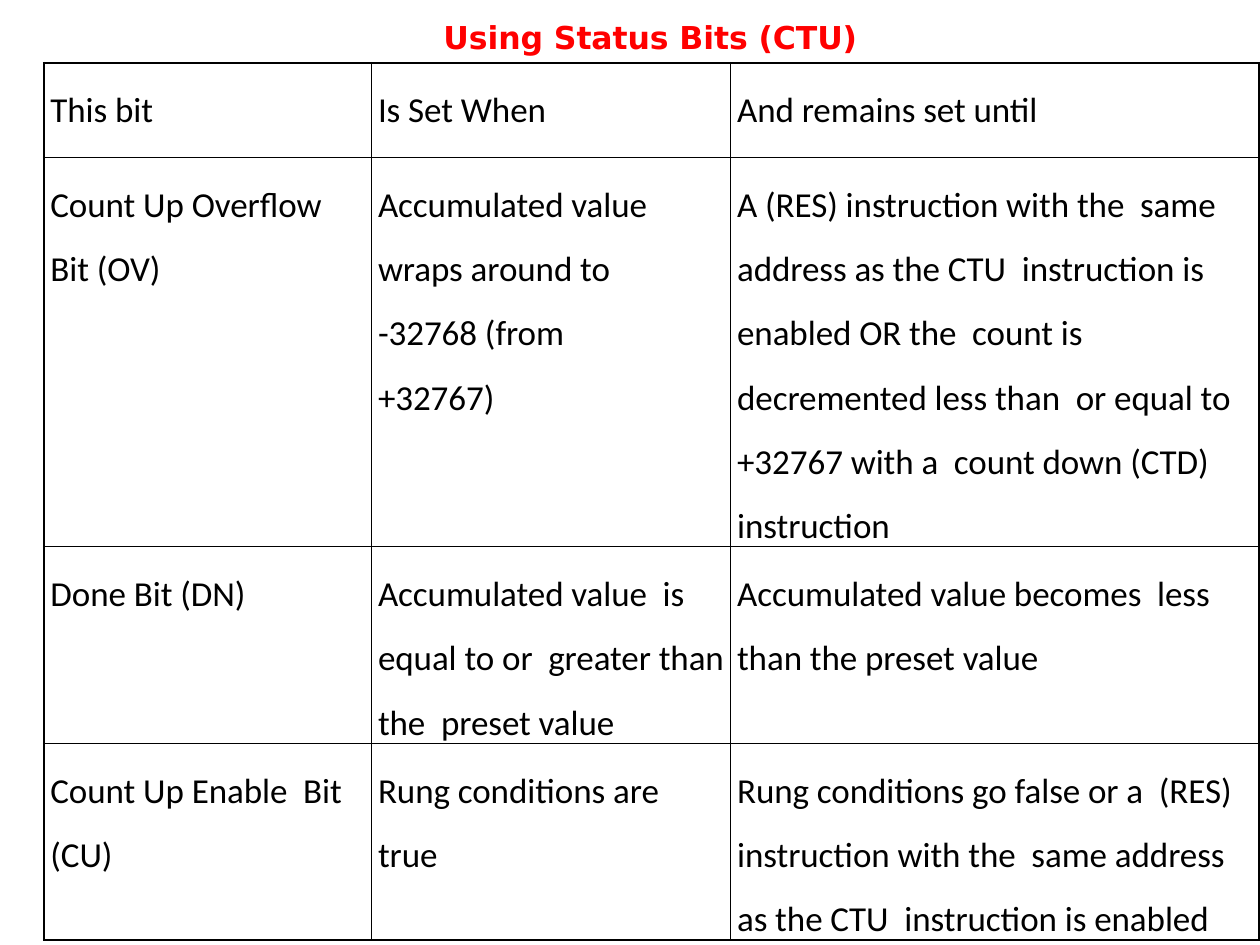
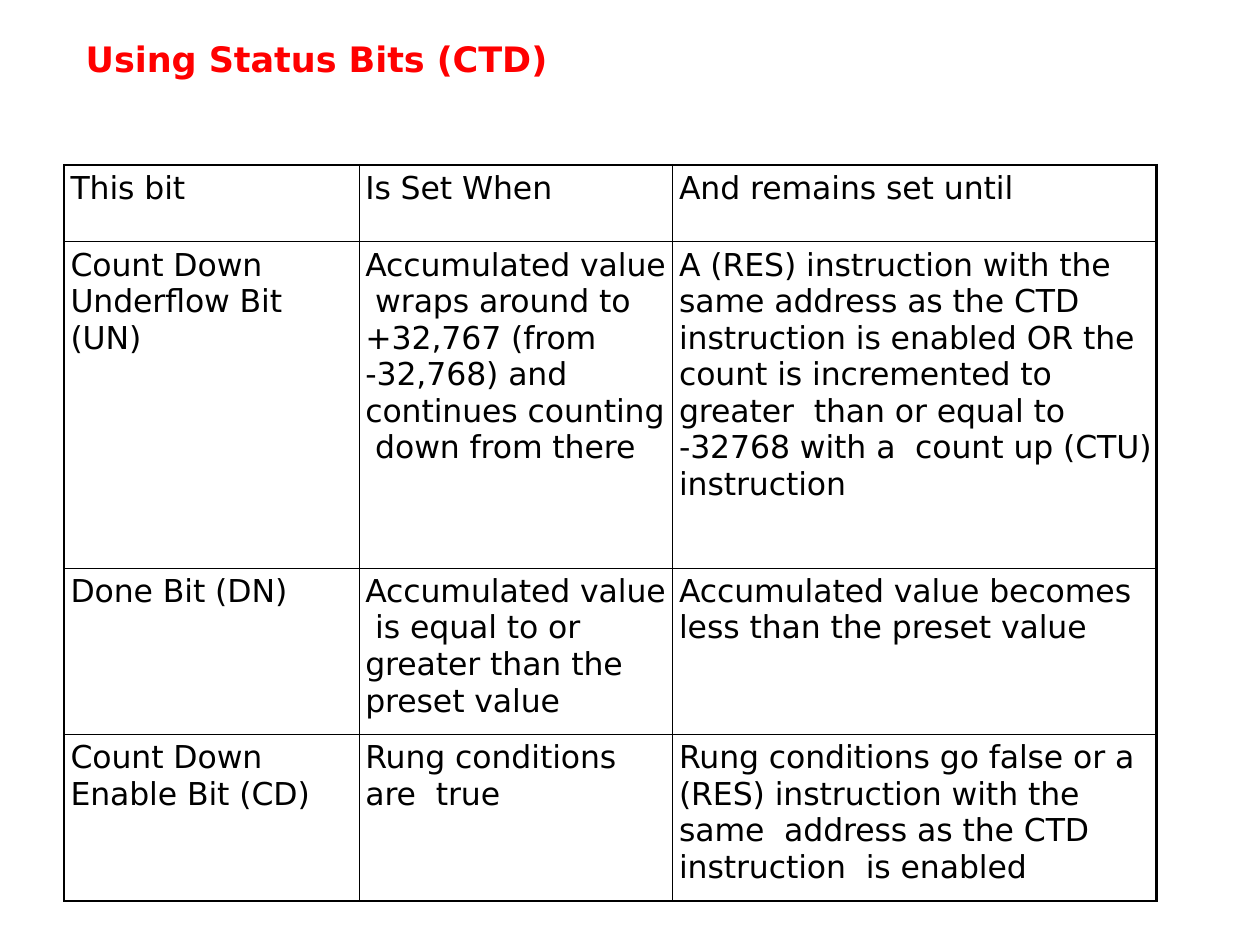
"""Build two slides of status-bit tables for the CTU and CTD counters."""
from lxml import etree
from pptx import Presentation
from pptx import util as u
from pptx.dml import color
from pptx.enum import text
from pptx.oxml import ns

HUES = {"title": "FF0000", "ink": "000000"}
HEAD = ("This bit", "Is Set When", "And remains set until")
DONE = ("Done Bit (DN)",
        "Accumulated value  is equal to or  greater than the  preset value",
        "Accumulated value becomes  less than the preset value")
TRUE = "Rung conditions are  true"

SLIDES = [
    {
        "title": "Using Status Bits (CTU)",
        "box": (3.51, 0.13, 3.33, 0.33),
        "head": {"name": "DejaVu Sans", "size": u.Pt(18), "bold": True},
        "at": (0.35, 0.5),
        "cols": (2.6, 2.85, 4.19),
        "rows": (0.75, 3.09, 1.56, 1.56),
        "font": {"name": "Calibri", "size": u.Pt(20), "bold": False},
        "lead": 1.5,
        "cells": [
            HEAD,
            ("Count Up Overflow  Bit (OV)",
             "Accumulated value  wraps around to\n-32768 (from\n+32767)",
             "A (RES) instruction with the  same address as the CTU  instruction "
             "is enabled OR the  count is decremented less than  or equal to "
             "+32767 with a  count down (CTD) instruction"),
            DONE,
            ("Count Up Enable  Bit (CU)", TRUE,
             "Rung conditions go false or a  (RES) instruction with the  same "
             "address as the CTU  instruction is enabled"),
        ],
    },
    {
        "title": "Using Status Bits (CTD)",
        "box": (0.67, 0.29, 5.43, 0.35),
        "head": {"name": "DejaVu Sans", "size": u.Pt(20), "bold": True},
        "at": (0.51, 1.31),
        "cols": (2.34, 2.49, 3.84),
        "rows": (0.61, 2.59, 1.32, 1.32),
        "font": {"name": "DejaVu Sans", "size": u.Pt(18), "bold": False},
        "lead": 1.0,
        "cells": [
            HEAD,
            ("Count Down  Underflow Bit (UN)",
             "Accumulated value  wraps around to\n+32,767 (from\n-32,768) and\n"
             "continues counting  down from there",
             "A (RES) instruction with the  same address as the CTD  instruction "
             "is enabled OR the  count is incremented to greater  than or equal "
             "to -32768 with a  count up (CTU) instruction"),
            DONE,
            ("Count Down  Enable Bit (CD)", TRUE,
             "Rung conditions go false or a  (RES) instruction with the same  "
             "address as the CTD instruction  is enabled"),
        ],
    },
]


def put(obj, vals):
    for key, val in vals.items():
        setattr(obj, key, val)


def style(frame, font, hue, indent, lead, before):
    for n, par in enumerate(frame.paragraphs):
        put(par, {"alignment": text.PP_ALIGN.LEFT, "line_spacing": lead,
                  "space_before": u.Pt(0 if n else before)})
        props = par._p.get_or_add_pPr()
        props.set("marL", str(u.Inches(indent)))
        props.set("indent", "0")
        for run in par.runs:
            put(run.font, font)
            run.font.color.rgb = color.RGBColor.from_string(HUES[hue])
            run._r.get_or_add_rPr().set("spc", "-5")


def edge(cell, sides):
    props = cell._tc.get_or_add_tcPr()
    for n, (side, width) in enumerate(sides.items()):
        line = etree.Element(ns.qn("a:ln" + side), w=str(u.Pt(width)))
        fill = etree.SubElement(line, ns.qn("a:solidFill"))
        etree.SubElement(fill, ns.qn("a:srgbClr"), val=HUES["ink"])
        props.insert(n, line)


def add_title(slide, item):
    title = slide.shapes.title
    left, top, width, height = map(u.Inches, item["box"])
    put(title, {"left": left, "top": top, "width": width, "height": height})
    frame = title.text_frame
    frame.text = item["title"]
    put(frame, {"margin_left": 0, "margin_right": 0, "margin_bottom": 0,
                "margin_top": u.Inches(0.01), "word_wrap": True,
                "vertical_anchor": text.MSO_ANCHOR.TOP,
                "auto_size": text.MSO_AUTO_SIZE.SHAPE_TO_FIT_TEXT})
    style(frame, item["head"], "title", 0.01, 1.0, 0)


def add_grid(slide, item):
    cols, rows = item["cols"], item["rows"]
    sizes = (*item["at"], sum(cols), sum(rows))
    grid = slide.shapes.add_table(len(rows), len(cols), *map(u.Inches, sizes)).table
    put(grid, {"first_row": False, "horz_banding": False})
    for col, width in zip(grid.columns, cols):
        col.width = u.Inches(width)
    for r, height in enumerate(rows):
        grid.rows[r].height = u.Inches(height)
        for c, words in enumerate(item["cells"][r]):
            cell = grid.cell(r, c)
            cell.text = words
            put(cell, {"margin_left": 0, "margin_right": 0, "margin_bottom": 0,
                       "margin_top": u.Inches(0.04),
                       "vertical_anchor": text.MSO_ANCHOR.TOP})
            cell.fill.background()
            outer = {"L": c == 0, "R": c == len(cols) - 1,
                     "T": r == 0, "B": r == len(rows) - 1}
            edge(cell, {side: 1.5 if out else 0.5 for side, out in outer.items()})
            style(cell.text_frame, item["font"], "ink", 0.05, item["lead"], 0)


def main():
    deck = Presentation()
    put(deck, {"slide_width": u.Inches(10), "slide_height": u.Inches(7.5)})
    for item in SLIDES:
        slide = deck.slides.add_slide(deck.slide_layouts[5])
        add_title(slide, item)
        add_grid(slide, item)
    deck.save("out.pptx")


if __name__ == "__main__":
    main()
